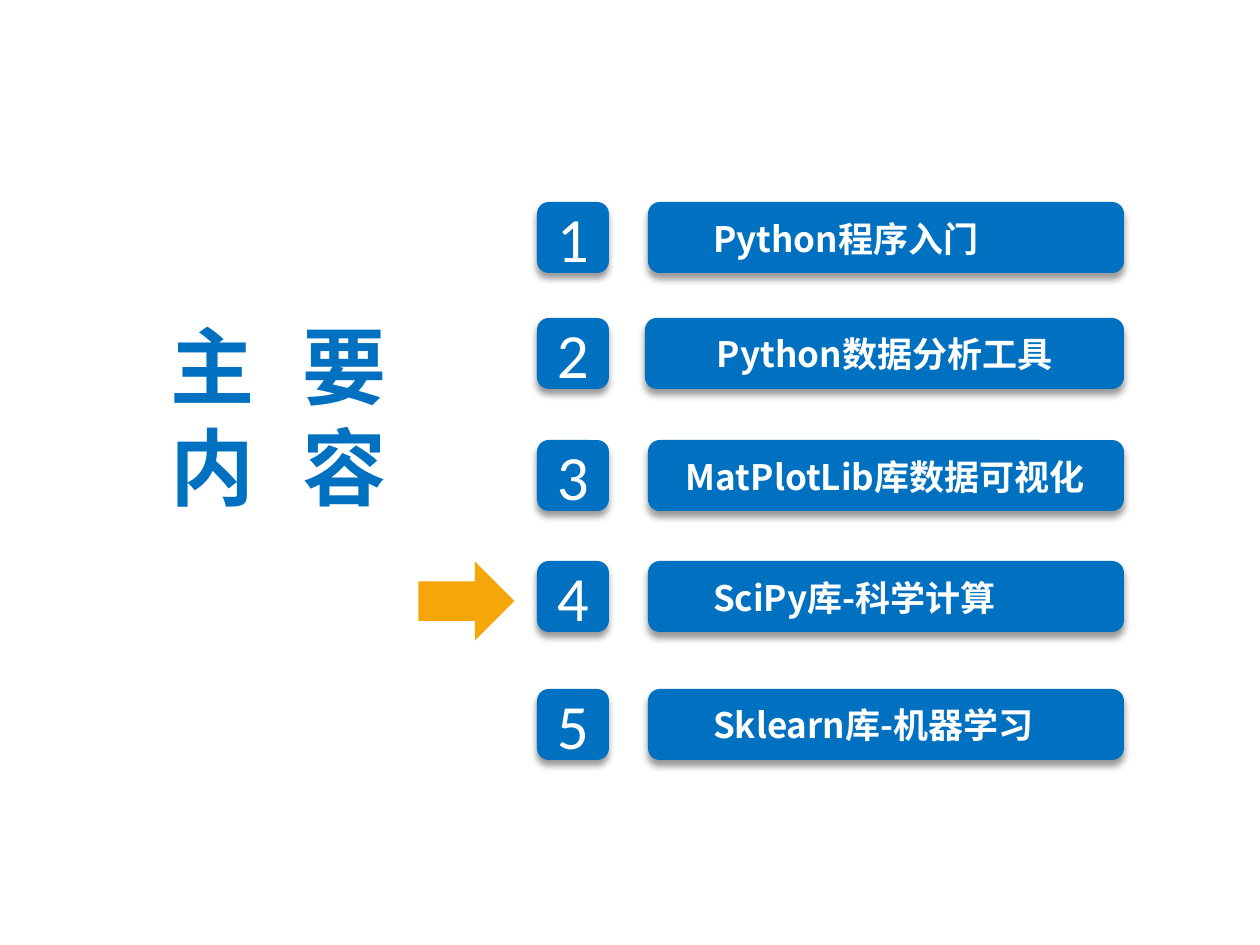
from lxml.etree import SubElement
from pptx import Presentation
from pptx.dml.color import RGBColor
from pptx.enum.shapes import MSO_SHAPE as Shape
from pptx.enum.text import MSO_ANCHOR as Anchor, PP_ALIGN as Align
from pptx.oxml.ns import qn
from pptx.util import Emu, Pt

COLORS = {"blue": "0070C0", "white": "FFFFFF", "orange": "F5A609", "shadow": "000000"}
FORMATS = {
    "number": {"name": "Calibri", "size": Pt(36), "bold": False},
    "topic": {"name": "Noto Sans CJK SC", "size": Pt(20), "bold": True},
    "heading": {"name": "Noto Sans CJK SC", "size": Pt(48), "bold": True},
}
INSETS = {"margin_left": 16, "margin_right": 16, "margin_top": 9, "margin_bottom": 9}
TILE_HEIGHT = 71
BAR_RIGHT = 1124
# topic, top of row, left of bar, left of label, width of label
TOPICS = [
    ("Python程序入门", 202, 648, 697, 407),
    ("Python数据分析工具", 318, 645, 701, 469),
    ("MatPlotLib库数据可视化", 440, 648, 670, 455),
    ("SciPy库-科学计算", 561, 648, 697, 407),
    ("Sklearn库-机器学习", 689, 648, 697, 407),
]


def px(length):
    return Emu(round(length * 914400 / 126))


def rgb(color):
    return RGBColor.from_string(COLORS[color])


def add_filled(shapes, preset, box, color):
    shape = shapes.add_shape(preset, *map(px, box))
    shape.shadow.inherit = False
    shape.fill.solid()
    shape.fill.fore_color.rgb = rgb(color)
    shape.line.fill.background()
    return shape


def add_tile(shapes, box):
    """Add a blue rounded tile with a soft shadow below it."""
    tile = add_filled(shapes, Shape.ROUNDED_RECTANGLE, box, "blue")
    effects = tile._element.spPr.find(qn("a:effectLst"))
    shadow = SubElement(effects, qn("a:outerShdw"), blurRad=str(Pt(4)),
                        dist=str(Pt(3)), dir="5400000", rotWithShape="0")
    tint = SubElement(shadow, qn("a:srgbClr"), val=COLORS["shadow"])
    SubElement(tint, qn("a:alpha"), val="40000")
    return tile


def set_insets(frame):
    for side, inset in INSETS.items():
        setattr(frame, side, px(inset))


def write(paragraph, text, style, color):
    run = paragraph.add_run()
    run.text = text
    for attribute, value in FORMATS[style].items():
        setattr(run.font, attribute, value)
    run.font.color.rgb = rgb(color)
    SubElement(run._r.rPr, qn("a:ea"), typeface=FORMATS[style]["name"])
    return run


def add_number(shapes, number, top):
    frame = add_tile(shapes, (537, top, 72, TILE_HEIGHT)).text_frame
    set_insets(frame)
    frame.vertical_anchor = Anchor.MIDDLE
    frame.paragraphs[0].alignment = Align.CENTER
    write(frame.paragraphs[0], str(number), "number", "white")


def add_text_frame(shapes, box):
    frame = shapes.add_textbox(*map(px, box)).text_frame
    frame.word_wrap = True
    set_insets(frame)
    return frame


def add_topic(shapes, topic, top, bar_left, label_left, label_width):
    group = shapes.add_group_shape().shapes
    add_tile(group, (bar_left, top, BAR_RIGHT - bar_left, TILE_HEIGHT))
    label = add_text_frame(group, (label_left, top + 6, label_width, 59))
    write(label.paragraphs[0], topic, "topic", "white")


def add_heading(shapes):
    """Set the heading as two columns, the second on a tab stop."""
    frame = add_text_frame(shapes, (42, 306, 472, 221))
    frame.margin_left = px(129)
    for index, line in enumerate(("主\t要", "内\t容")):
        paragraph = frame.add_paragraph() if index else frame.paragraphs[0]
        tabs = SubElement(paragraph._p.get_or_add_pPr(), qn("a:tabLst"))
        SubElement(tabs, qn("a:tab"), pos=str(px(131)), algn="l")
        run = write(paragraph, line, "heading", "blue")
        run._r.rPr.set("spc", "200")


def add_current_marker(shapes):
    arrow = add_filled(shapes, Shape.DOWN_ARROW, (427, 553, 79, 96), "orange")
    arrow.rotation = 270


def main():
    presentation = Presentation()
    presentation.slide_width, presentation.slide_height = px(1260), px(945)
    shapes = presentation.slides.add_slide(presentation.slide_layouts[6]).shapes
    for number, (topic, top, *columns) in enumerate(TOPICS, 1):
        add_number(shapes, number, top)
        add_topic(shapes, topic, top, *columns)
    add_heading(shapes)
    add_current_marker(shapes)
    presentation.save("out.pptx")


if __name__ == "__main__":
    main()
